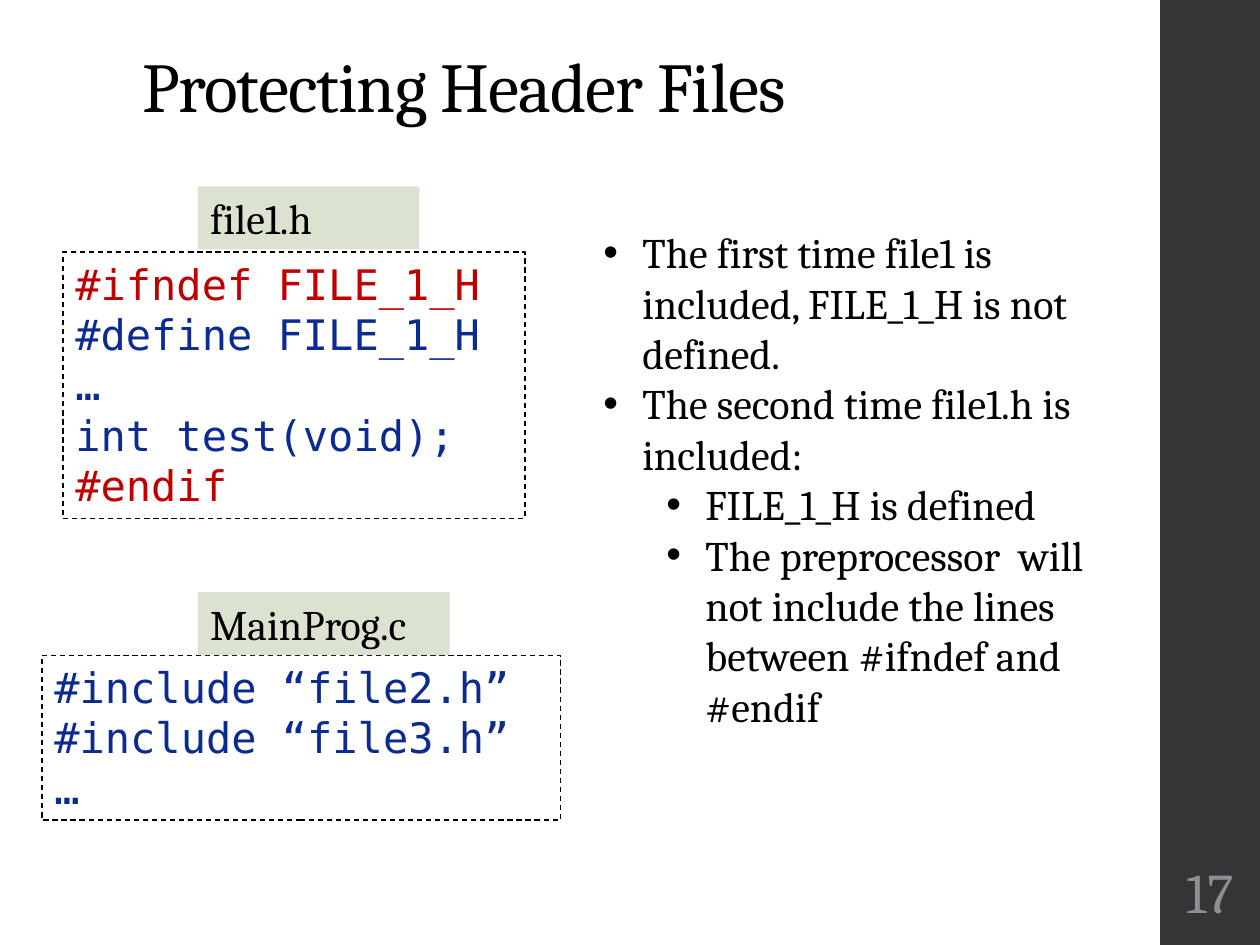
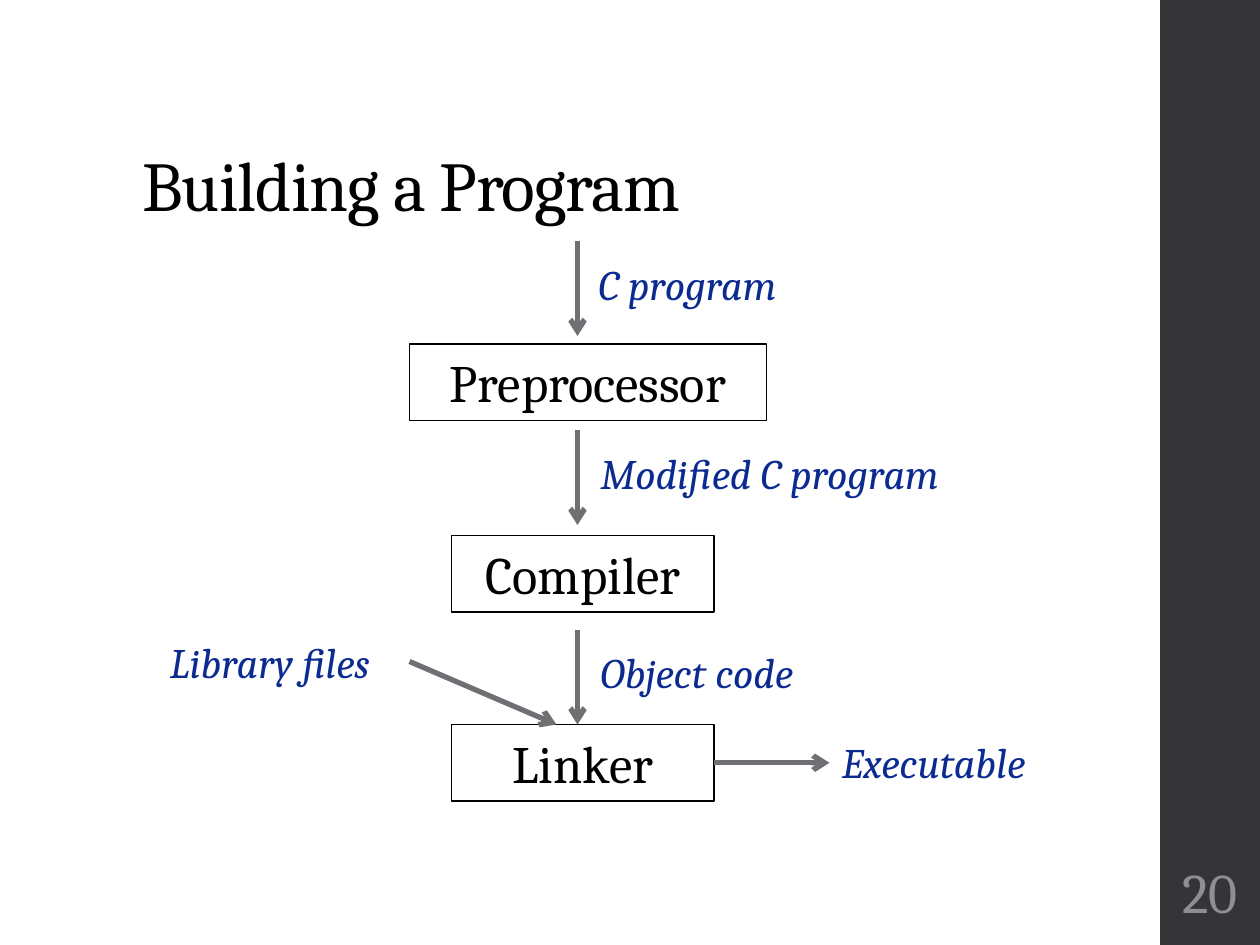
"""Build two slides on C header guards and the steps of building a program."""
import dataclasses

import pptx
import pptx.dml.color
import pptx.enum.dml
import pptx.enum.shapes
import pptx.enum.text
import pptx.oxml
import pptx.oxml.ns
import pptx.util

ALIGN = pptx.enum.text.PP_ALIGN
ANCHOR = pptx.enum.text.MSO_ANCHOR
DASH = pptx.enum.dml.MSO_LINE.DASH


@dataclasses.dataclass(frozen=True)
class Theme:
    """Hold the colours, fonts and type sizes of the deck."""
    black: str = "000000"
    band: str = "353537"
    number: str = "8E8E94"
    blue: str = "0B2B91"
    red: str = "C00000"
    tab: str = "DCE2D0"
    arrow: str = "6F6F74"
    serif: str = "Cambria"
    mono: str = "DejaVu Sans Mono"
    title_size: int = 40
    number_size: int = 32
    step_size: int = 30
    body_size: int = 24


THEME = Theme()
COLS, ROWS = 120, 90
WIDTH, HEIGHT = pptx.util.Inches(10), pptx.util.Inches(7.5)


def rgb(value):
    """Return a colour object for a hex string."""
    return pptx.dml.color.RGBColor.from_string(value)


def grid(col, row):
    """Return the lengths of a number of grid columns and rows."""
    return round(WIDTH * col / COLS), round(HEIGHT * row / ROWS)


def add_run(p, text, size=THEME.body_size, color=THEME.black, font=THEME.serif, italic=None):
    """Add one styled run to a paragraph and return it."""
    r = p.add_run()
    r.text = text
    r.font.size = pptx.util.Pt(size)
    r.font.name = font
    r.font.color.rgb = rgb(color)
    r.font.italic = italic
    return r


def add_frame(sp, anchor=ANCHOR.TOP, grow=True):
    """Prepare the text frame of a shape and return it."""
    tf = sp.text_frame
    tf.word_wrap = True
    tf.vertical_anchor = anchor
    sizes = pptx.enum.text.MSO_AUTO_SIZE
    tf.auto_size = sizes.SHAPE_TO_FIT_TEXT if grow else sizes.NONE
    return tf


def add_text(slide, col, row, cols, rows, **frame):
    """Add a text box on the grid and return its frame."""
    return add_frame(slide.shapes.add_textbox(*grid(col, row), *grid(cols, rows)), **frame)


def add_rect(slide, col, row, cols, rows, fill=None, line=None, dash=None):
    """Add a flat rectangle on the grid, filled or outlined."""
    kind = pptx.enum.shapes.MSO_SHAPE.RECTANGLE
    sp = slide.shapes.add_shape(kind, *grid(col, row), *grid(cols, rows))
    sp.shadow.inherit = False
    if fill:
        sp.fill.solid()
        sp.fill.fore_color.rgb = rgb(fill)
    else:
        sp.fill.background()
    if line:
        sp.line.color.rgb = rgb(THEME.black)
        sp.line.width = pptx.util.Pt(line)
        sp.line.dash_style = dash
    else:
        sp.line.fill.background()
    return sp


def add_base(prs, title, title_row, number):
    """Add a blank slide with the side band, title and slide number."""
    slide = prs.slides.add_slide(prs.slide_layouts[6])
    add_rect(slide, 110.5, 0, 9.5, ROWS, fill=THEME.band)
    p = add_text(slide, 12.36, title_row, 95.4, 17.4, anchor=ANCHOR.BOTTOM, grow=False).paragraphs[0]
    p.line_spacing = 0.9
    r = add_run(p, title, THEME.title_size)
    r.font._element.set("spc", "-50")
    tf = add_text(slide, 110.76, 81, 9, 7.8, anchor=ANCHOR.MIDDLE, grow=False)
    tf.margin_left = tf.margin_right = pptx.util.Inches(0.03)
    p = tf.paragraphs[0]
    p.alignment = ALIGN.CENTER
    add_run(p, number, THEME.number_size, THEME.number)
    return slide


def paragraphs(tf, count):
    """Return the given number of paragraphs of an empty frame."""
    return [tf.paragraphs[0]] + [tf.add_paragraph() for _ in range(count - 1)]


def add_code(slide, col, row, cols, rows, lines):
    """Add a dashed code box with one coloured line per paragraph."""
    tf = add_frame(add_rect(slide, col, row, cols, rows, line=0.75, dash=DASH))
    for p, (text, color) in zip(paragraphs(tf, len(lines)), lines):
        p.alignment = ALIGN.LEFT
        add_run(p, text, color=color, font=THEME.mono)


def add_file_tab(slide, row, cols, name):
    """Add the filled tab that names a code file."""
    p = add_frame(add_rect(slide, 18.84, row, cols, 6, fill=THEME.tab)).paragraphs[0]
    p.alignment = ALIGN.LEFT
    add_run(p, name)


def add_bullets(slide, col, row, cols, rows, items):
    """Add a bulleted list of (level, text) items."""
    tf = add_text(slide, col, row, cols, rows)
    for p, (level, text) in zip(paragraphs(tf, len(items)), items):
        p.level = level
        pPr = p._p.get_or_add_pPr()
        pPr.set("marL", str(pptx.util.Inches(0.31 + 0.5 * level)))
        pPr.set("indent", str(-pptx.util.Inches(0.31)))
        for xml in ('<a:buFont %s typeface="Arial"/>', '<a:buChar %s char="•"/>'):
            pPr.append(pptx.oxml.parse_xml(xml % pptx.oxml.ns.nsdecls("a")))
        add_run(p, text)


def add_step(slide, col, row, cols, text, line=0.75):
    """Add an outlined box for one build step and return it."""
    sp = add_rect(slide, col, row, cols, 7.3, line=line)
    p = add_frame(sp).paragraphs[0]
    p.alignment = ALIGN.CENTER
    add_run(p, text, THEME.step_size)
    return sp


def add_label(slide, col, row, text, cols=23.6):
    """Add an italic label for what passes between steps."""
    add_run(add_text(slide, col, row, cols, 6).paragraphs[0], text, color=THEME.blue, italic=True)


def add_arrow(slide, start, end):
    """Add an arrow between two grid points and return it."""
    kind = pptx.enum.shapes.MSO_CONNECTOR.STRAIGHT
    sp = slide.shapes.add_connector(kind, *grid(*start), *grid(*end))
    sp.line.color.rgb = rgb(THEME.arrow)
    sp.line.width = pptx.util.Pt(3)
    ns = pptx.oxml.ns.nsdecls("a")
    sp.line._get_or_add_ln().append(pptx.oxml.parse_xml(f'<a:tailEnd {ns} type="arrow"/>'))
    sp._element.spPr.append(pptx.oxml.parse_xml(f"<a:effectLst {ns}/>"))
    return sp


def add_header_slide(prs):
    """Show how include guards protect a header file."""
    slide = add_base(prs, "Protecting Header Files", -4.68, "17")
    add_bullets(slide, 56.28, 21, 51, 49.7, [
        (0, "The first time file1 is included, FILE_1_H is not defined."),
        (0, "The second time file1.h is included:"),
        (1, "FILE_1_H is defined"),
        (1, "The preprocessor  will not include the lines between #ifndef and #endif"),
    ])
    add_code(slide, 6, 24, 44, 25.4, [
        ("#ifndef FILE_1_H", THEME.red),
        ("#define FILE_1_H", THEME.blue),
        ("…", THEME.blue),
        ("int test(void);", THEME.blue),
        ("#endif", THEME.red),
    ])
    add_file_tab(slide, 17.76, 21.12, "file1.h")
    main_lines = ("#include “file2.h”", "#include “file3.h”", "…")
    add_code(slide, 4, 62.4, 49.4, 15.7, [(text, THEME.blue) for text in main_lines])
    add_file_tab(slide, 56.4, 24, "MainProg.c")


def add_build_slide(prs):
    """Show the flow from C program to executable."""
    slide = add_base(prs, "Building a Program", 4.8, "20")
    add_step(slide, 39, 32.76, 34, "Preprocessor", line=1)
    add_step(slide, 43, 51, 25, "Compiler")
    linker = add_step(slide, 43, 69, 25, "Linker")
    for row in (23, 41, 60):
        add_arrow(slide, (55, row), (55, row + 9))
    add_arrow(slide, (39, 63), (53, 69))
    add_arrow(slide, (68, 72.65), (79, 72.65)).begin_connect(linker, 3)
    add_label(slide, 55.8, 24, "C program")
    add_label(slide, 56, 42, "Modified C program", cols=46.6)
    add_label(slide, 56, 61, "Object code")
    add_label(slide, 15, 60, "Library files")
    add_label(slide, 79, 69.6, "Executable")


def main():
    """Build and save the deck."""
    prs = pptx.Presentation()
    prs.slide_width, prs.slide_height = WIDTH, HEIGHT
    add_header_slide(prs)
    add_build_slide(prs)
    prs.save("out.pptx")


if __name__ == "__main__":
    main()
